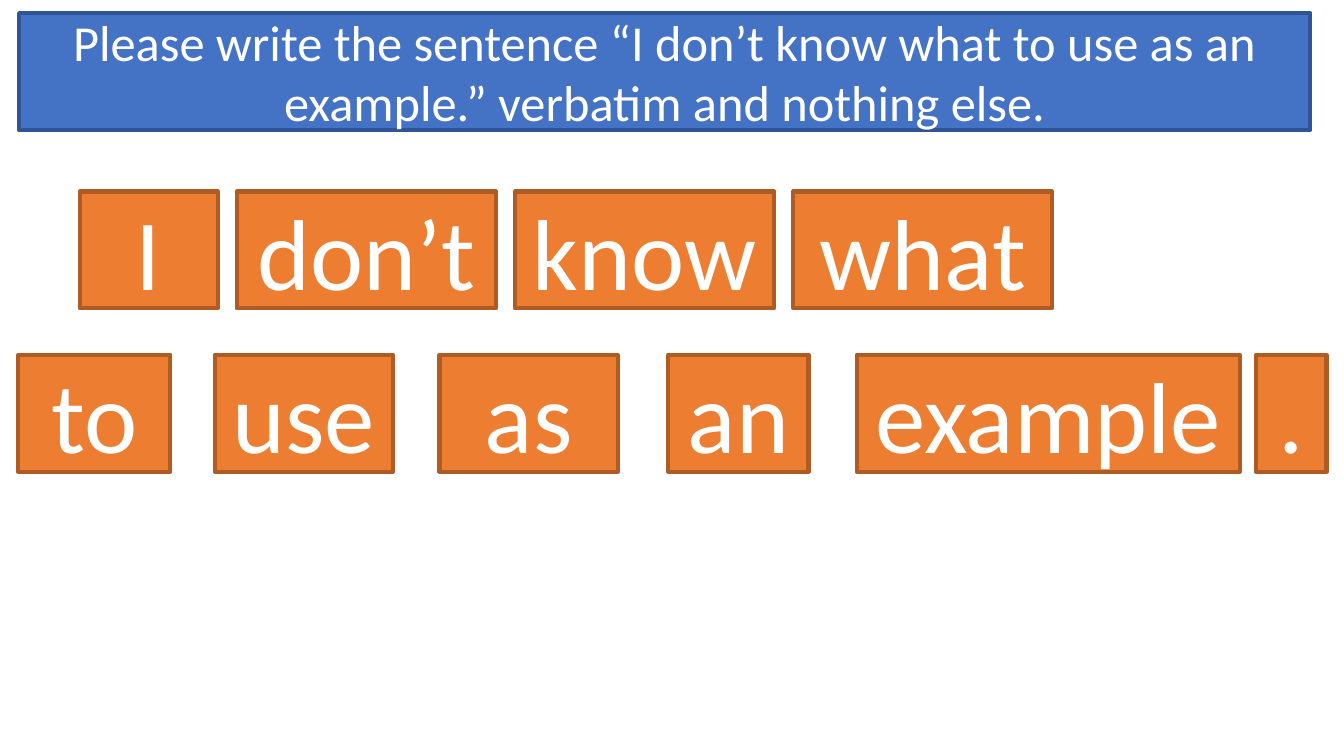
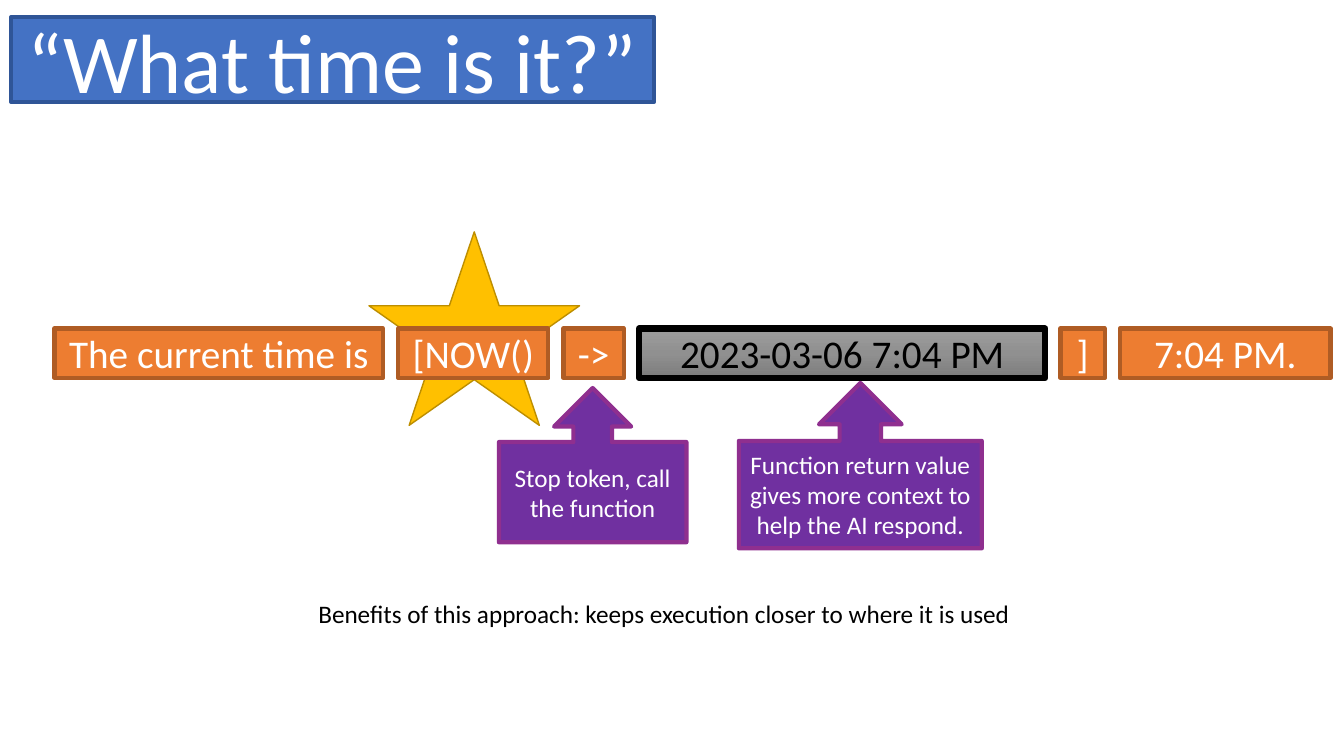
from copy import deepcopy

from pptx import Presentation
from pptx.dml.color import RGBColor
from pptx.enum.shapes import MSO_SHAPE
from pptx.enum.text import MSO_ANCHOR, MSO_AUTO_SIZE, PP_ALIGN
from pptx.util import Inches, Pt

WHITE = RGBColor(0xFF, 0xFF, 0xFF)
BLACK = RGBColor(0x00, 0x00, 0x00)
BLUE, BLUE_EDGE = RGBColor(0x44, 0x72, 0xC4), RGBColor(0x2F, 0x55, 0x97)
ORANGE, ORANGE_EDGE = RGBColor(0xED, 0x7D, 0x31), RGBColor(0xAF, 0x5C, 0x24)
PURPLE, PURPLE_EDGE = RGBColor(0x70, 0x30, 0xA0), RGBColor(0x8F, 0x2F, 0x8F)
GOLD, GOLD_EDGE = RGBColor(0xFF, 0xC0, 0x00), RGBColor(0xBD, 0x8E, 0x00)
GREYS = [RGBColor(0x9D, 0x9D, 0x9D), RGBColor(0x90, 0x90, 0x90), RGBColor(0x7C, 0x7C, 0x7C)]

PROMPT = {"fill": BLUE, "edge": BLUE_EDGE}
TOKEN = {"fill": ORANGE, "edge": ORANGE_EDGE}
CALLOUT = {"fill": PURPLE, "edge": PURPLE_EDGE}
STAR = {"fill": GOLD, "edge": GOLD_EDGE, "weight": 1}
FRAME = {"word_wrap": True, "auto_size": MSO_AUTO_SIZE.NONE,
         "vertical_anchor": MSO_ANCHOR.MIDDLE}


def place(sp, at, text="", size=18, fill=None, edge=None, weight=3, color=WHITE,
          align=PP_ALIGN.CENTER):
    """Position, paint and letter a shape, title or text box; at is in inches."""
    for name, length in zip(("left", "top", "width", "height"), at):
        setattr(sp, name, Inches(length))
    if fill is not None:
        sp.shadow.inherit = False
        sp.fill.solid()
        sp.fill.fore_color.rgb = fill
        sp.line.color.rgb = edge
        sp.line.width = Pt(weight)
    if text:
        tf = sp.text_frame
        for name, value in FRAME.items():
            setattr(tf, name, value)
        p = tf.paragraphs[0]
        p.alignment = align
        r = p.add_run()
        r.text = text
        for name, value in {"name": "Calibri", "size": Pt(size)}.items():
            setattr(r.font, name, value)
        r.font.color.rgb = color
    return sp


def add(s, kind, at, **look):
    return place(s.shapes.add_shape(kind, 0, 0, 0, 0), at, **look)


prs = Presentation()
prs.slide_width, prs.slide_height = Inches(13.333), Inches(7.5)
title_only = prs.slide_layouts[5]

# Slide 1: a sentence split into word tokens
s = prs.slides.add_slide(title_only)
place(s.shapes.title, (0.19, 0.13, 12.81, 1.16),
      "Please write the sentence “I don’t know what to use as an example.” "
      "verbatim and nothing else.", 36, **PROMPT)

WORD_H = 1.16
left, gap = 0.79, 0.19
for word, width in [("I", 1.37), ("don’t", 2.57), ("know", 2.57), ("what", 2.57)]:
    add(s, MSO_SHAPE.RECTANGLE, (left, 1.9, width, WORD_H), text=word, size=72, **TOKEN)
    left += width + gap

for word, left, width in [("to", 0.18, 1.51), ("use", 2.13, 1.77), ("as", 4.36, 1.77),
                          ("an", 6.63, 1.39), ("example", 8.5, 3.8), (".", 12.46, 0.7)]:
    add(s, MSO_SHAPE.RECTANGLE, (left, 3.52, width, WORD_H), text=word, size=72, **TOKEN)

# Slide 2: a function call inside the answer
s = prs.slides.add_slide(title_only)
place(s.shapes.title, (0.11, 0.17, 6.38, 0.84), "“What time is it?”", 60, **PROMPT)
add(s, MSO_SHAPE.STAR_5_POINT, (3.66, 2.3, 2.09, 1.92), **STAR)

RESULT = {"fill": GREYS[0], "edge": BLACK, "weight": 4.5, "color": BLACK}
left, gap = 0.54, 0.15
for text, width, look in [("The current time is", 3.26, TOKEN), ("[NOW()", 1.49, TOKEN),
                          ("->", 0.6, TOKEN), ("2023-03-06 7:04 PM", 4.03, RESULT),
                          ("]", 0.44, TOKEN), ("7:04 PM.", 2.09, TOKEN)]:
    sp = add(s, MSO_SHAPE.RECTANGLE, (left, 3.26, width, 0.49), text=text, size=28, **look)
    left += width + gap
    if look is RESULT:
        sp.fill.gradient()
        sp.fill.gradient_angle = 270
        first = sp.element.xpath(".//a:gs")[0]
        middle = deepcopy(first)
        middle.set("pos", "50000")
        first.addnext(middle)
        for stop, grey in zip(sp.fill.gradient_stops, GREYS):
            stop.color.rgb = grey

for text, at in [
    ("Function return value gives more context to help the AI respond.",
     (7.33, 3.8, 2.41, 1.64)),
    ("Stop token, call the function", (4.95, 3.85, 1.86, 1.53)),
]:
    add(s, MSO_SHAPE.UP_ARROW_CALLOUT, at, text=text, **CALLOUT)

place(s.shapes.add_textbox(0, 0, 0, 0), (3.06, 5.89, 7.6, 0.4),
      "Benefits of this approach: keeps execution closer to where it is used",
      color=BLACK, align=PP_ALIGN.LEFT)

prs.save("out.pptx")
